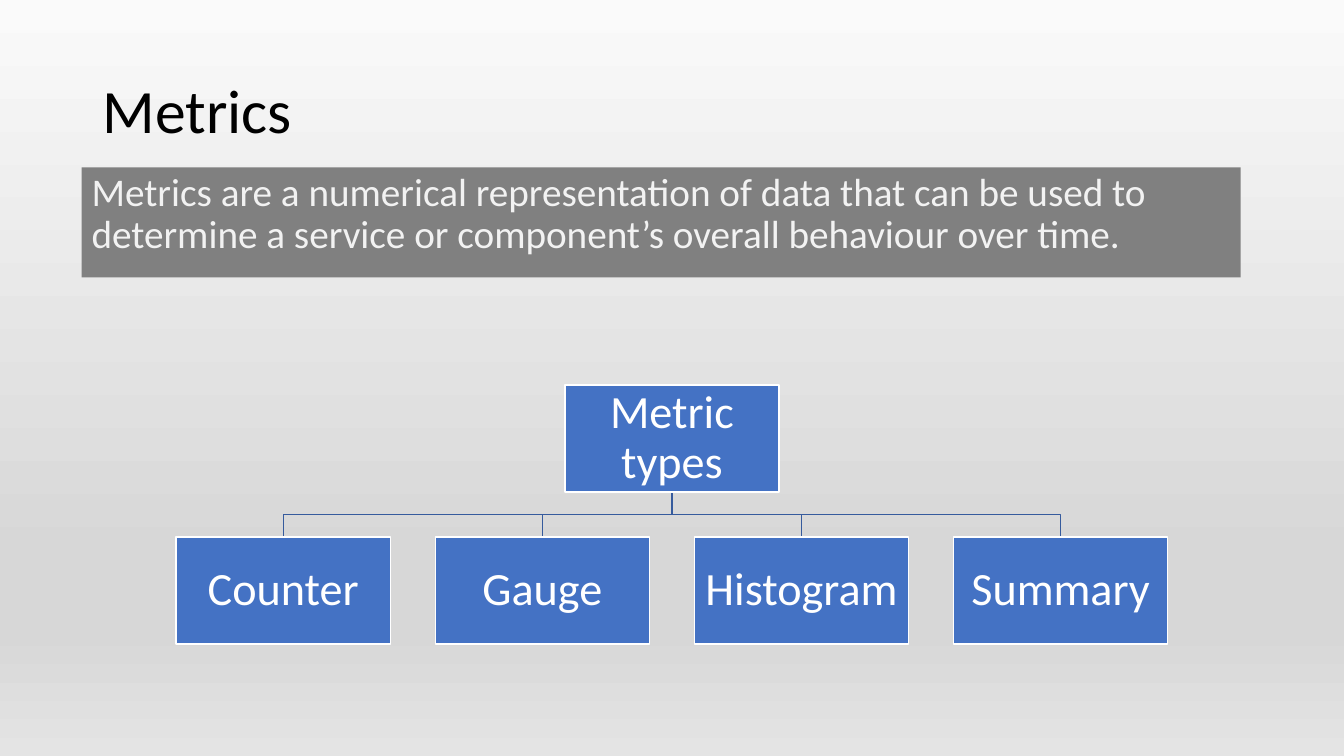
"""Build the Metrics slide: a definition above a tree of metric types."""
import pptx
import pptx.util
import pptx.dml.color
import pptx.enum.shapes
import pptx.enum.text
import pptx.oxml
import pptx.oxml.ns

Cm, Pt = pptx.util.Cm, pptx.util.Pt
RGBColor = pptx.dml.color.RGBColor
ANCHOR, ALIGN = pptx.enum.text.MSO_ANCHOR, pptx.enum.text.PP_ALIGN

HEADING = "Metrics"
DEFINITION = ("Metrics are a numerical representation of data that can be used to "
              "determine a service or component’s overall behaviour over time.")
ROOT = "Metric types"
TYPES = ["Counter", "Gauge", "Histogram", "Summary"]
BACKDROP = [(0, "FAFAFA"), (74, "D7D7D7"), (83, "D7D7D7"), (100, "E4E4E4")]

BLACK = RGBColor(0x00, 0x00, 0x00)
WHITE = RGBColor(0xFF, 0xFF, 0xFF)
GREY = RGBColor(0x80, 0x80, 0x80)
PALE = RGBColor(0xF2, 0xF2, 0xF2)
BLUE = RGBColor(0x44, 0x72, 0xC4)
DARK_BLUE = RGBColor(0x36, 0x5B, 0x9D)

SLIDE_W, SLIDE_H = Cm(33.87), Cm(19.05)
BOX_W, BOX_H, GAP = Cm(5.4), Cm(2.7), Cm(1.13)
ROOT_TOP, TYPES_TOP = Cm(9.7), Cm(13.53)
INSET = Cm(0.05)
HEADING_FRAME = {"vertical_anchor": ANCHOR.MIDDLE}
DEFINITION_FRAME = {"vertical_anchor": ANCHOR.TOP}
NODE_FRAME = {"vertical_anchor": ANCHOR.MIDDLE, "margin_left": INSET,
              "margin_right": INSET, "margin_top": INSET, "margin_bottom": INSET}
HEADING_PARAGRAPH = {"alignment": ALIGN.LEFT, "line_spacing": 0.9}
DEFINITION_PARAGRAPH = {**HEADING_PARAGRAPH, "space_before": Pt(10)}
NODE_PARAGRAPH = {"alignment": ALIGN.CENTER, "line_spacing": 0.9}


def apply(target, formats):
    for key, value in formats.items():
        setattr(target, key, value)


def write(shape, text, size, color, frame_formats, paragraph_formats):
    frame = shape.text_frame
    apply(frame, {"word_wrap": True, **frame_formats})
    paragraph = frame.paragraphs[0]
    apply(paragraph, paragraph_formats)
    run = paragraph.add_run()
    run.text = text
    apply(run.font, {"name": "Calibri", "size": Pt(size)})
    run.font.color.rgb = color


def add_box(slide, left, top, width, height, fill):
    box = slide.shapes.add_shape(pptx.enum.shapes.MSO_SHAPE.RECTANGLE, left, top, width, height)
    box.shadow.inherit = False
    box.fill.solid()
    box.fill.fore_color.rgb = fill
    box.line.fill.background()
    return box


def add_node(slide, left, top, label):
    node = add_box(slide, left, top, BOX_W, BOX_H, BLUE)
    node.line.color.rgb = WHITE
    node.line.width = Pt(1)
    write(node, label, 33, WHITE, NODE_FRAME, NODE_PARAGRAPH)


def add_branch(slide, start_x, start_y, end_x, end_y):
    bend_y = (start_y + end_y) // 2
    builder = slide.shapes.build_freeform(start_x, start_y)
    builder.add_line_segments([(start_x, bend_y), (end_x, bend_y), (end_x, end_y)], close=False)
    branch = builder.convert_to_shape()
    branch.shadow.inherit = False
    branch.fill.background()
    branch.line.color.rgb = DARK_BLUE
    branch.line.width = Pt(1)


def paint_backdrop(slide):
    fill = slide.background.fill
    fill.gradient()
    fill.gradient_angle = 270
    stops = slide.element.find(".//" + pptx.oxml.ns.qn("a:gsLst"))
    for stop in list(stops):
        stops.remove(stop)
    for percent, color in BACKDROP:
        stops.append(pptx.oxml.parse_xml(
            f'<a:gs {pptx.oxml.ns.nsdecls("a")} pos="{percent * 1000}">'
            f'<a:srgbClr val="{color}"/></a:gs>'))


def main():
    deck = pptx.Presentation()
    apply(deck, {"slide_width": SLIDE_W, "slide_height": SLIDE_H})
    slide = deck.slides.add_slide(deck.slide_layouts[6])
    paint_backdrop(slide)

    heading = slide.shapes.add_textbox(Cm(2.34), Cm(1.02), Cm(29.21), Cm(3.68))
    write(heading, HEADING, 44, BLACK, HEADING_FRAME, HEADING_PARAGRAPH)
    definition = add_box(slide, Cm(2.06), Cm(4.22), Cm(29.21), Cm(2.77), GREY)
    write(definition, DEFINITION, 28, PALE, DEFINITION_FRAME, DEFINITION_PARAGRAPH)

    center = SLIDE_W // 2
    row_width = len(TYPES) * BOX_W + (len(TYPES) - 1) * GAP
    lefts = [center - row_width // 2 + i * (BOX_W + GAP) for i in range(len(TYPES))]
    for left in lefts:
        add_branch(slide, center, ROOT_TOP + BOX_H, left + BOX_W // 2, TYPES_TOP)
    add_node(slide, center - BOX_W // 2, ROOT_TOP, ROOT)
    for left, label in zip(lefts, TYPES):
        add_node(slide, left, TYPES_TOP, label)

    deck.save("out.pptx")


if __name__ == "__main__":
    main()
